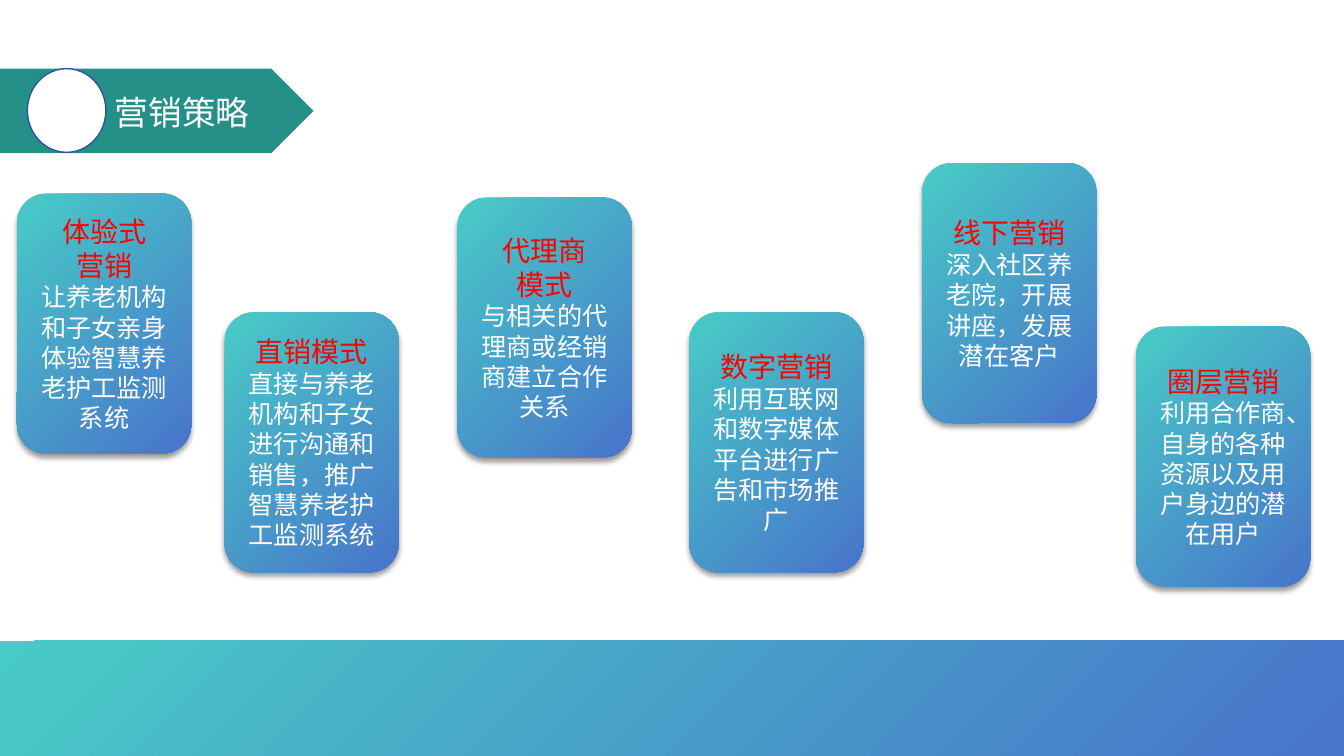
"""Build the marketing strategy slide: a titled banner, six staggered cards and a footer band."""
from dataclasses import dataclass

import lxml.etree
import pptx
import pptx.dml.color
import pptx.enum.shapes
import pptx.enum.text
import pptx.oxml.ns
import pptx.shapes.autoshape
import pptx.slide
import pptx.text.text
import pptx.util

Cm = pptx.util.Cm
Preset = pptx.enum.shapes.MSO_SHAPE
Align = pptx.enum.text.PP_ALIGN
qn = pptx.oxml.ns.qn


@dataclass(frozen=True)
class Theme:
    font: str = "Noto Sans CJK JP"
    banner: str = "249087"
    emblem_line: str = "2E54A1"
    white: str = "FFFFFF"
    heading: str = "FF0000"
    gradient: tuple[str, str] = ("48CBC6", "4874CB")
    shadow: str = "000000"
    title_size: int = 24
    heading_size: int = 20
    body_size: int = 18


@dataclass(frozen=True)
class Box:
    left: float
    top: float
    width: float
    height: float


@dataclass(frozen=True)
class Strategy:
    left: float
    top: float
    heading: tuple[str, ...]
    detail: str


THEME = Theme()
CARD_WIDTH, CARD_HEIGHT = 4.39, 6.55
SLIDE_WIDTH, SLIDE_HEIGHT = 33.87, 19.05
BAND_TOP = 16.15

STRATEGIES = (
    Strategy(0.43, 4.88, ("体验式", "营销"), "让养老机构和子女亲身体验智慧养老护工监测系统"),
    Strategy(28.63, 8.23, ("圈层营销",), "利用合作商、自身的各种资源以及用户身边的潜在用户"),
    Strategy(23.24, 4.11, ("线下营销",), "深入社区养老院，开展讲座，发展潜在客户"),
    Strategy(17.37, 7.87, ("数字营销",), "利用互联网和数字媒体平台进行广告和市场推广"),
    Strategy(11.53, 4.98, ("代理商", "模式"), "与相关的代理商或经销商建立合作关系"),
    Strategy(5.66, 7.87, ("直销模式",), "直接与养老机构和子女进行沟通和销售，推广智慧养老护工监测系统"),
)


def rgb(colour: str) -> pptx.dml.color.RGBColor:
    return pptx.dml.color.RGBColor.from_string(colour)


def add_preset(slide: pptx.slide.Slide, preset: Preset, box: Box) -> pptx.shapes.autoshape.Shape:
    shape = slide.shapes.add_shape(
        preset, Cm(box.left), Cm(box.top), Cm(box.width), Cm(box.height)
    )
    shape.shadow.inherit = False
    shape.line.fill.background()
    return shape


def fill_solid(shape: pptx.shapes.autoshape.Shape, colour: str) -> None:
    shape.fill.solid()
    shape.fill.fore_color.rgb = rgb(colour)


def fill_gradient(shape: pptx.shapes.autoshape.Shape) -> None:
    shape.fill.gradient()
    shape.fill.gradient_angle = 315
    for stop, colour in zip(shape.fill.gradient_stops, THEME.gradient):
        stop.color.rgb = rgb(colour)


def cast_shadow(shape: pptx.shapes.autoshape.Shape) -> None:
    effects = shape.element.spPr.find(qn("a:effectLst"))
    outer = lxml.etree.SubElement(
        effects, qn("a:outerShdw"), blurRad=str(pptx.util.Pt(4)),
        dist=str(pptx.util.Pt(3)), dir="5400000", algn="t", rotWithShape="0",
    )
    colour = lxml.etree.SubElement(outer, qn("a:srgbClr"), val=THEME.shadow)
    lxml.etree.SubElement(colour, qn("a:alpha"), val="40000")


def write(paragraph: pptx.text.text._Paragraph, text: str, size: int,
          colour: str, align: Align) -> None:
    paragraph.text = text
    paragraph.alignment = align
    font = paragraph.font
    font.name = THEME.font
    font.size = pptx.util.Pt(size)
    font.color.rgb = rgb(colour)
    latin = next(paragraph._p.iter(qn("a:latin")))
    east_asian = lxml.etree.Element(qn("a:ea"), typeface=THEME.font)
    latin.addnext(east_asian)


def add_banner(slide: pptx.slide.Slide) -> None:
    banner = add_preset(slide, Preset.PENTAGON, Box(0, 1.73, 7.9, 2.13))
    fill_solid(banner, THEME.banner)
    emblem = add_preset(slide, Preset.OVAL, Box(0.69, 1.73, 1.98, 2.11))
    fill_solid(emblem, THEME.white)
    emblem.line.color.rgb = rgb(THEME.emblem_line)
    emblem.line.width = pptx.util.Pt(1)

    title = slide.shapes.title
    title.left, title.top = Cm(2.64), Cm(2.18)
    title.width, title.height = Cm(4.34), Cm(1.27)
    title.text_frame.vertical_anchor = pptx.enum.text.MSO_ANCHOR.MIDDLE
    write(title.text_frame.paragraphs[0], "营销策略", THEME.title_size, THEME.white, Align.LEFT)
    emblem.element.addnext(title.element)


def add_card(slide: pptx.slide.Slide, strategy: Strategy) -> None:
    box = Box(strategy.left, strategy.top, CARD_WIDTH, CARD_HEIGHT)
    card = add_preset(slide, Preset.ROUNDED_RECTANGLE, box)
    fill_gradient(card)
    cast_shadow(card)
    frame = card.text_frame
    frame.word_wrap = True
    frame.vertical_anchor = pptx.enum.text.MSO_ANCHOR.MIDDLE
    paragraph = frame.paragraphs[0]
    for line in strategy.heading:
        write(paragraph, line, THEME.heading_size, THEME.heading, Align.CENTER)
        paragraph = frame.add_paragraph()
    write(paragraph, strategy.detail, THEME.body_size, THEME.white, Align.CENTER)


def main() -> None:
    deck = pptx.Presentation()
    deck.slide_width, deck.slide_height = Cm(SLIDE_WIDTH), Cm(SLIDE_HEIGHT)
    slide = deck.slides.add_slide(deck.slide_layouts.get_by_name("Title Only"))
    add_banner(slide)
    for strategy in STRATEGIES:
        add_card(slide, strategy)
    band = Box(0, BAND_TOP, SLIDE_WIDTH, SLIDE_HEIGHT - BAND_TOP)
    fill_gradient(add_preset(slide, Preset.RECTANGLE, band))
    deck.save("out.pptx")


if __name__ == "__main__":
    main()
